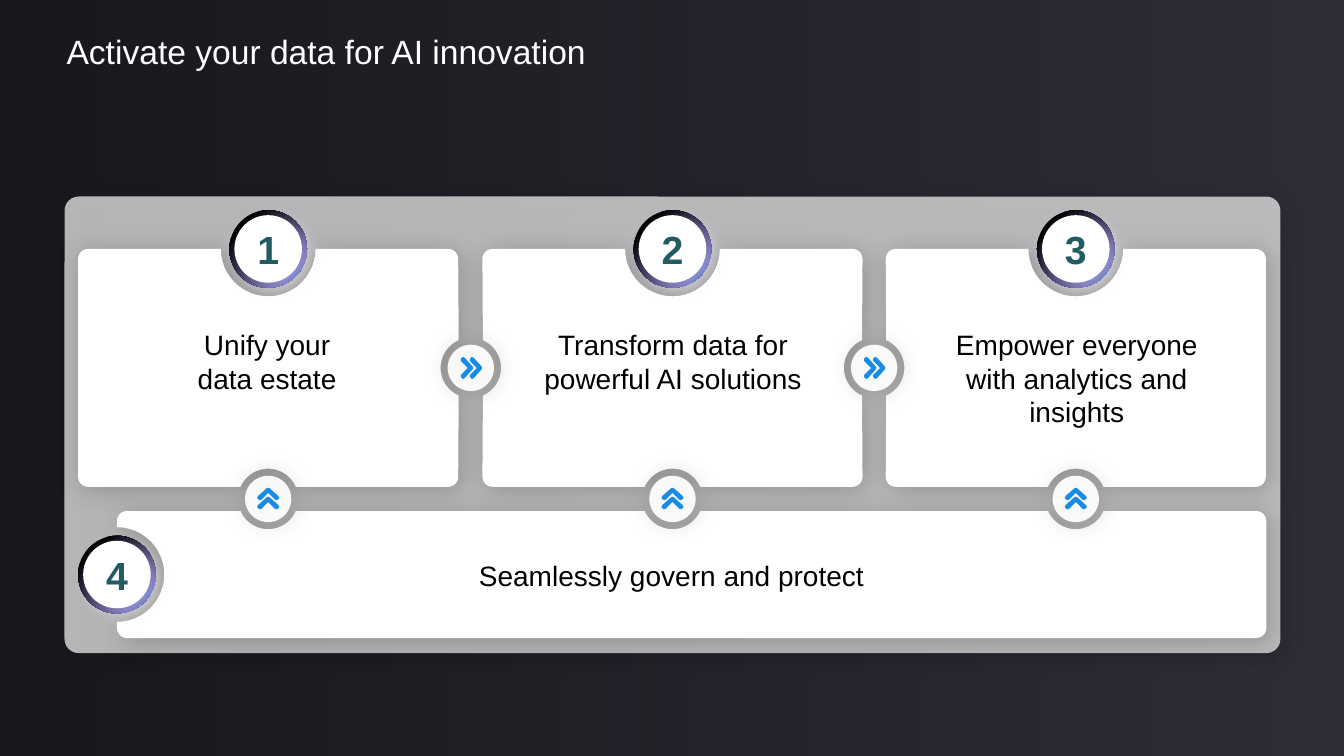
import math
from dataclasses import dataclass

from lxml import etree
from pptx import Presentation
from pptx.dml.color import RGBColor
from pptx.enum import shapes, text
from pptx.oxml import parse_xml
from pptx.oxml.ns import nsdecls
from pptx.util import Inches, Pt


@dataclass(frozen=True)
class Theme:
    font: str = "Arial"
    background: str = "2E2E38"
    black: str = "000000"
    white: str = "FFFFFF"
    panel: str = "F9F9F9"
    violet: str = "7A75C1"
    blue: str = "188CE5"
    teal: str = "225B61"
    title_size: Pt = Pt(24)
    number_size: Pt = Pt(28)
    body_size: Pt = Pt(20)


theme = Theme()

# Shadows: colour, blur and distance in points, direction in degrees
CARD_SHADOW = (theme.black, 18, 3, 45)
BADGE_SHADOW = (theme.white, 8, 4, 45)
BUTTON_SHADOW = (theme.black, 18.6, 1, 0)
RING_STOPS = [(18, theme.black, 100), (81, theme.violet, 100), (96, theme.blue, 100)]


def paint(shape, stops, angle=0, shadow=None):
    """Fill with (position, colour, opacity) stops, drop the line, set the shadow."""
    colors = [
        f'<a:srgbClr val="{color}"><a:alpha val="{opacity * 1000}"/></a:srgbClr>'
        for _, color, opacity in stops
    ]
    if len(stops) == 1:
        fill = f'<a:solidFill {nsdecls("a")}>{colors[0]}</a:solidFill>'
    else:
        marks = "".join(
            f'<a:gs pos="{stop[0] * 1000}">{color}</a:gs>' for stop, color in zip(stops, colors)
        )
        fill = (
            f'<a:gradFill {nsdecls("a")} rotWithShape="1"><a:gsLst>{marks}</a:gsLst>'
            f'<a:lin ang="{angle * 60000}" scaled="0"/></a:gradFill>'
        )
    shape.line.fill.background()
    shape.fill.background()
    properties = shape._element.spPr
    properties.replace(properties.find("{*}noFill"), parse_xml(fill))
    shape.shadow.inherit = False
    if shadow:
        color, blur, distance, direction = shadow
        effect = parse_xml(
            f'<a:outerShdw {nsdecls("a")} blurRad="{Pt(blur)}" dist="{Pt(distance)}" '
            f'dir="{direction * 60000}" algn="ctr" rotWithShape="0">'
            f'<a:srgbClr val="{color}"><a:alpha val="20000"/></a:srgbClr></a:outerShdw>'
        )
        properties.find("{*}effectLst").append(effect)


def arc(x, y, radius, start, end, steps=24):
    """Points of a circular arc; angles in degrees, clockwise from the right."""
    angles = [math.radians(start + (end - start) * i / steps) for i in range(steps + 1)]
    return [(x + radius * math.cos(a), y + radius * math.sin(a)) for a in angles]


presentation = Presentation()
presentation.slide_width, presentation.slide_height = Inches(13.33), Inches(7.5)
slide = presentation.slides.add_slide(presentation.slide_layouts[5])
slide.background.fill.solid()
slide.background.fill.fore_color.rgb = RGBColor.from_string(theme.background)

shade = slide.shapes.add_shape(
    shapes.MSO_SHAPE.RECTANGLE, 0, 0, presentation.slide_width, presentation.slide_height
)
paint(shade, [(0, theme.black, 0), (100, theme.black, 50)], angle=180)
slide.shapes._spTree.insert(2, shade._element)

title = slide.shapes.title
title.left, title.top, title.width, title.height = map(Inches, (0.66, 0.31, 11.23, 0.4))
frame = title.text_frame
frame.text = "Activate your data for AI innovation"
frame.margin_left = frame.margin_top = frame.margin_right = frame.margin_bottom = 0
frame.vertical_anchor = text.MSO_ANCHOR.TOP
paragraph = frame.paragraphs[0]
paragraph.alignment = text.PP_ALIGN.LEFT
paragraph.font.name, paragraph.font.size = theme.font, theme.title_size
paragraph.font.color.rgb = RGBColor.from_string(theme.white)

panel = slide.shapes.add_shape(
    shapes.MSO_SHAPE.ROUNDED_RECTANGLE, *map(Inches, (0.64, 1.95, 12.06, 4.53))
)
panel.adjustments[0] = 0.031
paint(panel, [(0, theme.panel, 70)], shadow=CARD_SHADOW)

# Cards have round bites around the badges and the arrow buttons
CENTERS = (2.66, 6.67, 10.67)
GAPS = (4.67, 8.67)
CARD_WIDTH, CARD_TOP, CARD_BOTTOM = 3.77, 2.47, 4.83
BAR_TOP, SIDE_Y, ROW_GAP_Y, CORNER = 5.07, 3.65, 4.95, 0.1
BADGE_BITE = (0.47, 90)  # radius, half of the opening angle
BUTTON_BITE = (0.3, 66.4)
BADGES = [(x, CARD_TOP) for x in CENTERS] + [(1.16, 5.7)]

# Each card: left, top, right, bottom, then bites on its top, right, bottom, left
cards = [(1.16, BAR_TOP, 12.56, 6.33, (
    [(x, ROW_GAP_Y, *BUTTON_BITE) for x in CENTERS], [], [], [(*BADGES[3], *BADGE_BITE)],
))]
for index, center in enumerate(CENTERS):
    cards.append((center - CARD_WIDTH / 2, CARD_TOP, center + CARD_WIDTH / 2, CARD_BOTTOM, (
        [(center, CARD_TOP, *BADGE_BITE)],
        [(x, SIDE_Y, *BUTTON_BITE) for x in GAPS[index:index + 1]],
        [(center, ROW_GAP_Y, *BUTTON_BITE)],
        [(x, SIDE_Y, *BUTTON_BITE) for x in GAPS[:index][-1:]],
    )))

for left, top, right, bottom, bites in cards:
    corners = [
        (left + CORNER, top + CORNER), (right - CORNER, top + CORNER),
        (right - CORNER, bottom - CORNER), (left + CORNER, bottom - CORNER),
    ]
    points = []
    for side, (corner, side_bites) in enumerate(zip(corners, bites)):
        points += arc(*corner, CORNER, 180 + 90 * side, 270 + 90 * side, steps=8)
        inward = 90 + 90 * side
        for x, y, radius, half in side_bites:
            points += arc(x, y, radius, inward + half, inward - half)
    points = [(Inches(x), Inches(y)) for x, y in points]
    builder = slide.shapes.build_freeform(*points[0])
    builder.add_line_segments(points[1:], close=True)
    paint(builder.convert_to_shape(), [(0, theme.white, 100)], shadow=CARD_SHADOW)

# Numbered badges
for number, (x, y) in enumerate(BADGES, 1):
    for size, stops in ((0.77, RING_STOPS), (0.67, [(0, theme.white, 100)])):
        disc = slide.shapes.add_shape(
            shapes.MSO_SHAPE.OVAL, Inches(x - size / 2), Inches(y - size / 2),
            Inches(size), Inches(size),
        )
        paint(disc, stops, angle=45, shadow=BADGE_SHADOW)
    frame = disc.text_frame
    frame.margin_left = frame.margin_top = frame.margin_right = frame.margin_bottom = 0
    frame.vertical_anchor = text.MSO_ANCHOR.MIDDLE
    frame.text = str(number)
    paragraph = frame.paragraphs[0]
    paragraph.alignment = text.PP_ALIGN.CENTER
    paragraph.font.name, paragraph.font.size = theme.font, theme.number_size
    paragraph.font.bold = True
    paragraph.font.color.rgb = RGBColor.from_string(theme.teal)

# Arrow buttons, each with a double chevron
BUTTON = 0.46
UPPER_HALF = [(-0.06, -0.07), (-0.06, -0.09), (-0.04, -0.11), (-0.02, -0.1), (0.06, -0.01)]
CHEVRON = UPPER_HALF + [(x, -y) for x, y in reversed(UPPER_HALF)] + [(0.01, 0)]
buttons = [(x, ROW_GAP_Y, True) for x in CENTERS] + [(x, SIDE_Y, False) for x in GAPS]
for x, y, points_up in buttons:
    button = slide.shapes.add_shape(
        shapes.MSO_SHAPE.OVAL, Inches(x - BUTTON / 2), Inches(y - BUTTON / 2),
        Inches(BUTTON), Inches(BUTTON),
    )
    paint(button, [(0, theme.white, 94)], shadow=BUTTON_SHADOW)
    for shift in (-0.04, 0.05):
        points = [(along + shift, across) for along, across in CHEVRON]
        if points_up:
            points = [(across, -along) for along, across in points]
        points = [(Inches(x + dx), Inches(y + dy)) for dx, dy in points]
        builder = slide.shapes.build_freeform(*points[0])
        builder.add_line_segments(points[1:], close=True)
        paint(builder.convert_to_shape(), [(0, theme.blue, 100)])

captions = [
    ("Unify your data estate", 1.72, 3.25, 1.86, 0.67),
    ("Transform data for powerful AI solutions", 5.33, 3.25, 2.69, 0.67),
    ("Empower everyone with analytics and insights", 9.37, 3.25, 2.62, 1.01),
    ("Seamlessly govern and protect", 3.12, 5.54, 7.08, 0.34),
]
for caption, *box in captions:
    frame = slide.shapes.add_textbox(*map(Inches, box)).text_frame
    frame.word_wrap = True
    frame.margin_left = frame.margin_top = frame.margin_right = frame.margin_bottom = 0
    frame.text = caption
    paragraph = frame.paragraphs[0]
    paragraph.alignment = text.PP_ALIGN.CENTER
    paragraph.font.name, paragraph.font.size = theme.font, theme.body_size
    paragraph.font.color.rgb = RGBColor.from_string(theme.black)

presentation.save("out.pptx")
